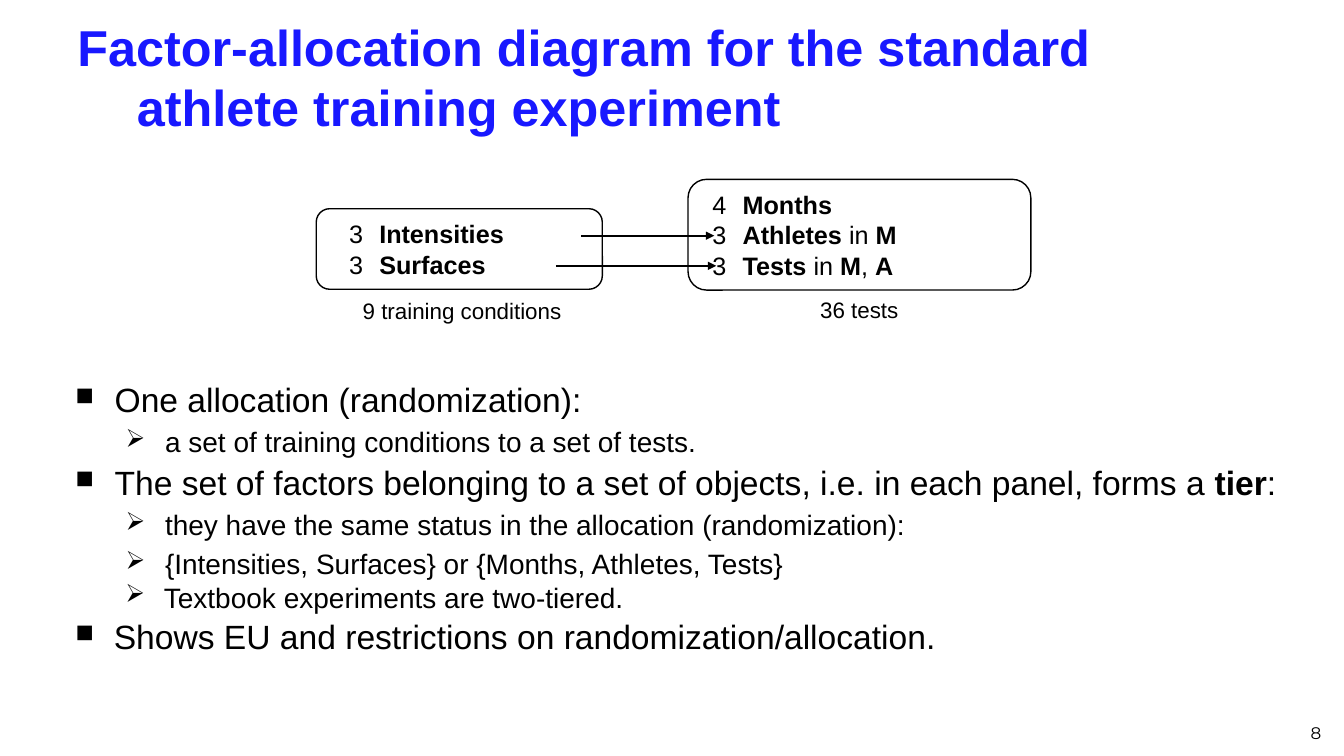
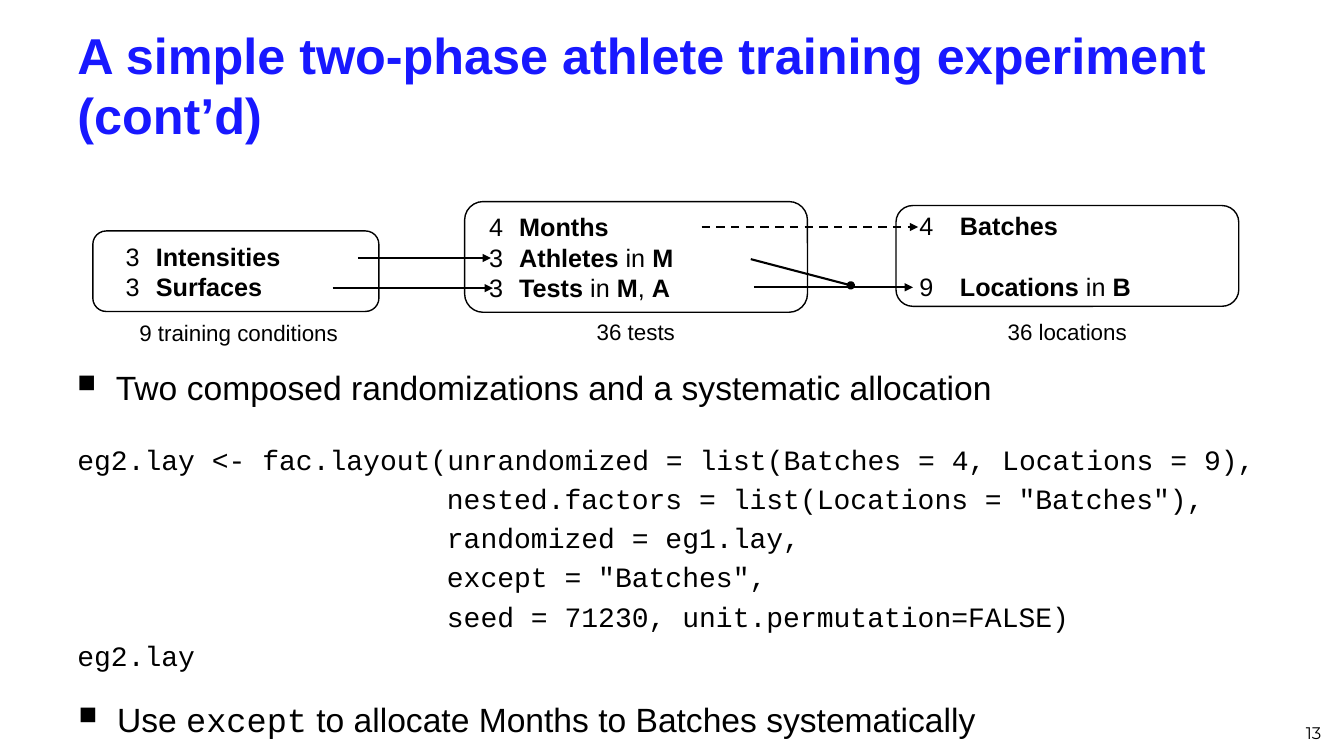
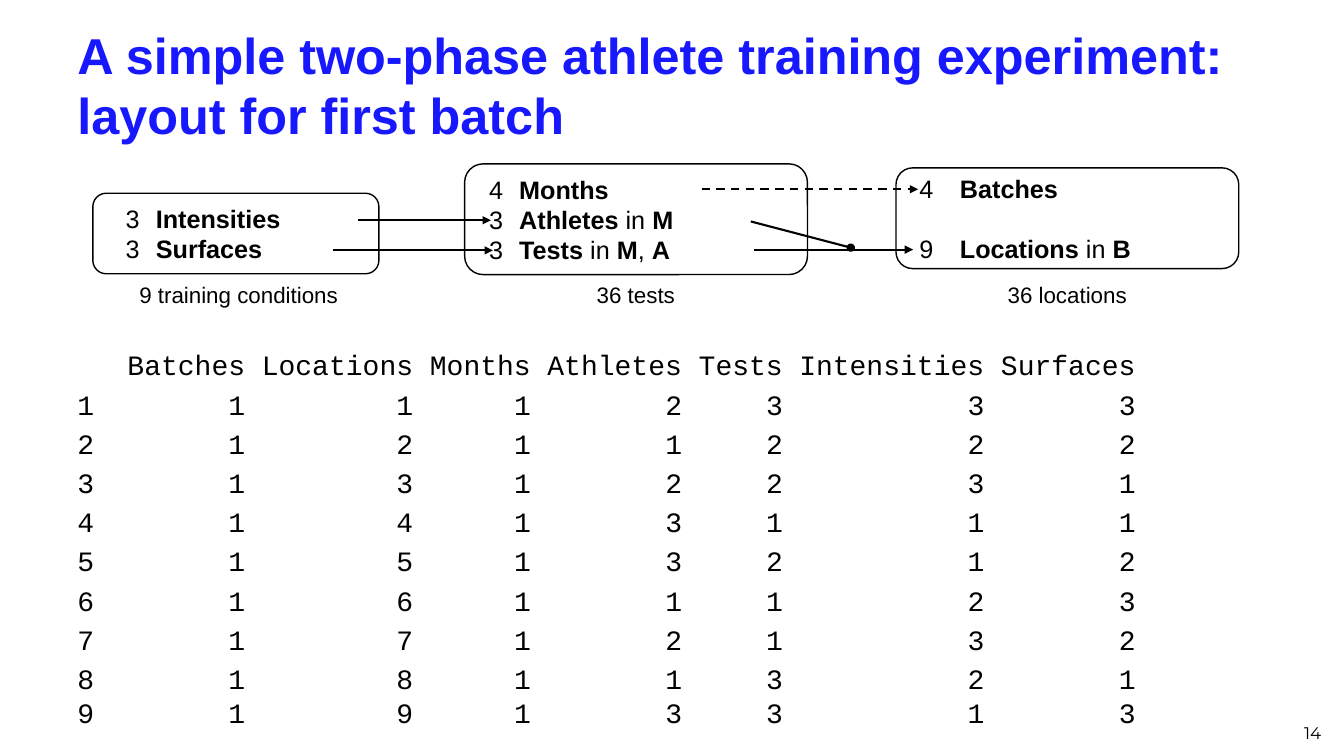
from itertools import accumulate

from lxml import etree
from pptx import Presentation
from pptx.dml.color import RGBColor
from pptx.enum import dml, shapes, text
from pptx.oxml import ns
from pptx.util import Cm, Pt

# Shared style
BLUE = RGBColor(0x18, 0x18, 0xFF)
BLACK = RGBColor(0, 0, 0)
SANS, MONO, NUMBER_FONT = "Arial", "Courier New", "Montserrat"
SQUARE, ARROWHEAD = ("■", 75), ("➢", 90)
CODE_SIZE = 20
CODE_CHARACTER = Pt(0.6 * CODE_SIZE)  # advance of one monospaced character

presentation = Presentation()
presentation.slide_width, presentation.slide_height = Cm(33.87), Cm(19.05)
blank_layout = presentation.slide_layouts[6]


def write(slide, box, lines, size, font=SANS, color=BLACK, preset=None):
    """Add a text box or preset shape; text between bars is bold."""
    lengths = [Cm(length) for length in box]
    if preset is None:
        shape = slide.shapes.add_textbox(*lengths)
    else:
        shape = slide.shapes.add_shape(preset, *lengths)
    frame = shape.text_frame
    frame.word_wrap = True
    for index, line in enumerate(lines):
        paragraph = frame.add_paragraph() if index else frame.paragraphs[0]
        paragraph.alignment = text.PP_ALIGN.LEFT
        for part_index, part in enumerate(line.split("|")):
            if part:
                run = paragraph.add_run()
                run.text = part
                run.font.size, run.font.name = Pt(size), font
                run.font.color.rgb = color
                run.font.bold = part_index % 2 == 1
    return shape


def indent(paragraph, left, hanging=0, bullet=None):
    """Set the left margin, the hanging indent and an optional bullet."""
    properties = paragraph._p.get_or_add_pPr()
    properties.set("marL", str(Cm(left)))
    properties.set("indent", str(-Cm(hanging)))
    if bullet:
        character, percent = bullet
        bullet_color = etree.SubElement(properties, ns.qn("a:buClr"))
        etree.SubElement(bullet_color, ns.qn("a:srgbClr"), val=str(BLACK))
        etree.SubElement(properties, ns.qn("a:buSzPct"), val=str(percent * 1000))
        etree.SubElement(properties, ns.qn("a:buChar"), char=character)


# Panels: box, lines, indent, hanging, space before last line, caption, caption box
PANELS = [
    ((2.34, 5.82, 7.21, 2.03), ["3\t|Intensities|", "3\t|Surfaces|"],
     1.24, 0.76, 0, "9 training conditions", (2.18, 7.92, 7.67, 0.94)),
    ((11.71, 5.08, 8.64, 2.79),
     ["4\t|Months|", "3\t|Athletes |in |M|", "3\t|Tests |in |M|, |A|"],
     0.99, 0.76, 0, "36 tests", (12.75, 7.9, 6.55, 0.94)),
    ((22.58, 5.18, 8.64, 2.54), ["4\t|Batches|", "9\t|Locations| in |B|"],
     1.24, 1.02, 21.6, "36 locations", (23.62, 7.9, 6.55, 0.94)),
]
# Arrows: start, end, head, dashed
ARROWS = [
    ((9.02, 6.5), (12.37, 6.5), "triangle", False),
    ((8.38, 7.26), (12.42, 7.26), "triangle", False),
    ((17.68, 5.72), (23.14, 5.72), "triangle", True),
    ((19, 7.24), (23.01, 7.24), "triangle", False),
    ((18.92, 6.53), (21.44, 7.19), "oval", False),
]
TITLE_BOX = (1.7, 0.74, 31.39, 2.77)
# Slides: title, title box, title hanging, number, diagram shift, panels, arrows
SLIDES = [
    ("Factor-allocation diagram for the standard athlete training experiment",
     (1.7, 0.53, 30.48, 2.79), 1.5, "8", (5.63, -0.56), 2, 2),
    ("A simple two-phase athlete training experiment (cont’d)",
     TITLE_BOX, 0, "13", (0, 0), 3, 5),
    ("A simple two-phase athlete training experiment: layout for first batch",
     TITLE_BOX, 0, "14", (0, -0.95), 3, 5),
]

# Title, number and factor-allocation diagram of each slide
for title, title_box, hanging, number, (dx, dy), panel_count, arrow_count in SLIDES:
    slide = presentation.slides.add_slide(blank_layout)
    title_shape = write(slide, title_box, [f"|{title}|"], 36, color=BLUE)
    title_shape.text_frame.vertical_anchor = text.MSO_ANCHOR.MIDDLE
    indent(title_shape.text_frame.paragraphs[0], hanging, hanging)

    number_shape = write(slide, (25.65, 17.58, 7.9, 1.27), [number], 12, NUMBER_FONT)
    number_shape.text_frame.vertical_anchor = text.MSO_ANCHOR.BOTTOM
    number_shape.text_frame.paragraphs[0].alignment = text.PP_ALIGN.RIGHT

    for (x1, y1), (x2, y2), head, dashed in ARROWS[:arrow_count]:
        arrow = slide.shapes.add_connector(
            shapes.MSO_CONNECTOR.STRAIGHT,
            Cm(x1 + dx), Cm(y1 + dy), Cm(x2 + dx), Cm(y2 + dy))
        arrow.line.color.rgb, arrow.line.width = BLACK, Pt(1.5)
        if dashed:
            arrow.line.dash_style = dml.MSO_LINE.DASH
        etree.SubElement(arrow.line._get_or_add_ln(), ns.qn("a:tailEnd"), type=head)
        etree.SubElement(arrow._element.spPr, ns.qn("a:effectLst"))

    for box, lines, left, hanging, gap, caption, caption_box in PANELS[:panel_count]:
        x, y, width, height = box
        panel = write(slide, (x + dx, y + dy, width, height), lines, 18,
                      preset=shapes.MSO_SHAPE.ROUNDED_RECTANGLE)
        panel.shadow.inherit = False
        panel.fill.background()
        panel.line.color.rgb, panel.line.width = BLACK, Pt(1)
        panel.text_frame.word_wrap = False
        panel.text_frame.vertical_anchor = text.MSO_ANCHOR.MIDDLE
        for paragraph in panel.text_frame.paragraphs:
            indent(paragraph, left, hanging)
        paragraph.space_before = Pt(gap)

        x, y, width, height = caption_box
        caption_shape = write(slide, (x + dx, y + dy, width, height), [caption], 16)
        caption_shape.text_frame.paragraphs[0].alignment = text.PP_ALIGN.CENTER

standard_slide, code_slide, layout_slide = presentation.slides

# Standard experiment: two-level bullets
POINTS = [
    (0, "One allocation (randomization):"),
    (1, "a set of training conditions to a set of tests."),
    (0, "The set of factors belonging to a set of objects, i.e. in each panel, "
        "forms a |tier|:"),
    (1, "they have the same status in the allocation (randomization):"),
    (1, "{Intensities, Surfaces} or {Months, Athletes, Tests}"),
    (1, "Textbook experiments are two-tiered."),
    (0, "Shows EU and restrictions on randomization/allocation."),
]
points = write(standard_slide, (1.65, 9.53, 32.13, 8.79),
               [line for level, line in POINTS], 24).text_frame.paragraphs
for paragraph, (level, line) in zip(points, POINTS):
    paragraph.level = level
    paragraph.line_spacing, paragraph.space_before = 0.9, Pt(6)
    indent(paragraph, 2.26 if level else 0.99, 0.99, ARROWHEAD if level else SQUARE)
    if level:
        for run in paragraph.runs:
            run.font.size = Pt(20)
textbook_point, restrictions_point = points[-2:]
textbook_point.line_spacing, textbook_point.space_before = 1.0, Pt(0)
restrictions_point.space_before = Pt(4.8)
indent(textbook_point, 2.23, 0.97)
indent(restrictions_point, 0.97, 0.97)

# Two-phase experiment: code between two bullets
CODE = [
    "eg2.lay <- fac.layout(unrandomized = list(Batches = 4, Locations = 9),",
    'nested.factors = list(Locations = "Batches"),',
    "randomized = eg1.lay,",
    'except = "Batches",',
    "seed = 71230, unit.permutation=FALSE)",
    "eg2.lay",
]
code = write(code_slide, (1.7, 11.02, 31.32, 6.5), CODE, CODE_SIZE, MONO)
argument_column = CODE[0].index("(") + 1
for paragraph in code.text_frame.paragraphs:
    paragraph.space_before = Pt(4)
for paragraph in code.text_frame.paragraphs[1:-1]:
    indent(paragraph, (argument_column * CODE_CHARACTER) / Cm(1))

for x, y, line in [
    (1.7, 9.12, "Two composed randomizations and a systematic allocation"),
    (1.73, 17.48, "Use |except| to allocate Months to Batches systematically"),
]:
    note = write(code_slide, (x, y, 31.32, 1.24), [line], 24)
    paragraph = note.text_frame.paragraphs[0]
    paragraph.space_before = Pt(4.8)
    indent(paragraph, 0.97, 0.97, SQUARE)
keyword = paragraph.runs[1]
keyword.font.name, keyword.font.bold = MONO, False

# Layout for first batch: columns on right-aligned tab stops
FACTORS = ["Batches", "Locations", "Months", "Athletes", "Tests",
           "Intensities", "Surfaces"]
# Months, Athletes, Tests, Intensities and Surfaces at each location
ALLOCATION = ["12333", "11222", "12231", "13111", "13212",
              "11123", "12132", "11321", "13313"]
rows = ["\t".join(["", *FACTORS])]
for location, levels in enumerate(ALLOCATION, start=1):
    rows.append("\t".join([str(location), "1", str(location), *levels]))
column_ends = [2 + end for end in accumulate(len(name) + 1 for name in FACTORS)]
listing = write(layout_slide, (1.7, 8.64, 31.32, 10.41), rows, CODE_SIZE, MONO)
for paragraph in listing.text_frame.paragraphs:
    paragraph.space_before = Pt(4)
    tab_list = etree.SubElement(paragraph._p.get_or_add_pPr(), ns.qn("a:tabLst"))
    for end in column_ends:
        etree.SubElement(tab_list, ns.qn("a:tab"),
                         pos=str(end * CODE_CHARACTER), algn="r")
paragraph.space_before = Pt(0)

presentation.save("out.pptx")
